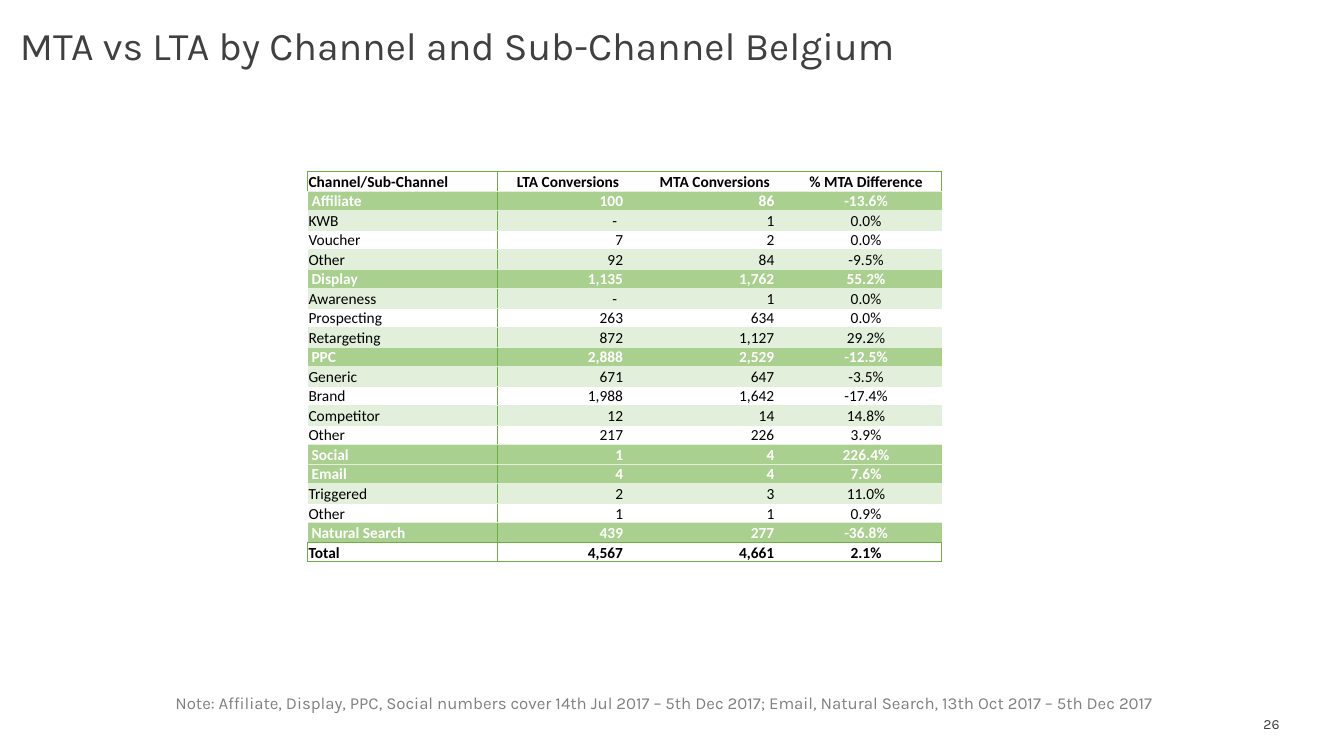
from lxml.etree import SubElement
from pptx import Presentation
from pptx.dml.color import RGBColor
from pptx.enum.text import MSO_ANCHOR, PP_ALIGN
from pptx.oxml.ns import qn
from pptx.util import Inches, Pt

DARK_GREY = RGBColor(0x40, 0x40, 0x40)
MID_GREY = RGBColor(0x80, 0x80, 0x80)
BLACK = RGBColor(0, 0, 0)
WHITE = RGBColor(0xFF, 0xFF, 0xFF)
GREEN = RGBColor(0x70, 0xAD, 0x47)
SOFT_GREEN = RGBColor(0xA9, 0xD0, 0x8E)
PALE_GREEN = RGBColor(0xE2, 0xEF, 0xDA)

HEADINGS = ("Channel/Sub-Channel", "LTA Conversions", "MTA Conversions", "% MTA Difference")
TOTAL = ("Total", "4,567", "4,661", "2.1%")
# Each channel total is followed by its sub-channels
CHANNELS = [
    [("Affiliate", "100", "86", "-13.6%"),
     ("KWB", "-", "1", "0.0%"),
     ("Voucher", "7", "2", "0.0%"),
     ("Other", "92", "84", "-9.5%")],
    [("Display", "1,135", "1,762", "55.2%"),
     ("Awareness", "-", "1", "0.0%"),
     ("Prospecting", "263", "634", "0.0%"),
     ("Retargeting", "872", "1,127", "29.2%")],
    [("PPC", "2,888", "2,529", "-12.5%"),
     ("Generic", "671", "647", "-3.5%"),
     ("Brand", "1,988", "1,642", "-17.4%"),
     ("Competitor", "12", "14", "14.8%"),
     ("Other", "217", "226", "3.9%")],
    [("Social", "1", "4", "226.4%")],
    [("Email", "4", "4", "7.6%"),
     ("Triggered", "2", "3", "11.0%"),
     ("Other", "1", "1", "0.9%")],
    [("Natural Search", "439", "277", "-36.8%")],
]
COLUMN_WIDTHS = (1.88, 1.41, 1.5, 1.5)
ROW_HEIGHT = 0.19


def style_text(paragraph, font_name, size, color, bold=False):
    font = paragraph.font
    font.name, font.size, font.bold = font_name, Pt(size), bold
    font.color.rgb = color


def add_text(page, text, left, top, width, height, size, color,
             align=PP_ALIGN.LEFT, anchor=MSO_ANCHOR.TOP, wrap=True):
    box = page.shapes.add_textbox(Inches(left), Inches(top), Inches(width), Inches(height))
    frame = box.text_frame
    frame.word_wrap = wrap
    frame.vertical_anchor = anchor
    paragraph = frame.paragraphs[0]
    paragraph.text = text
    paragraph.alignment = align
    style_text(paragraph, "Karla", size, color)
    return box


def set_borders(cell, borders):
    """Borders are (colour, points) or None, ordered left, right, top, bottom."""
    properties = cell._tc.get_or_add_tcPr()
    for position, (side, border) in enumerate(zip("LRTB", borders)):
        line = SubElement(properties, qn(f"a:ln{side}"))
        properties.insert(position, line)
        if border is None:
            SubElement(line, qn("a:noFill"))
            continue
        color, points = border
        line.set("w", str(Pt(points)))
        fill = SubElement(line, qn("a:solidFill"))
        SubElement(fill, qn("a:srgbClr")).set("val", str(color))


def cell_borders(row, column, last_row):
    strong, divider, thin = (GREEN, 1), (GREEN, 0.5), (PALE_GREEN, 0.5)
    framed = row in (0, last_row)
    left = divider if column == 1 else strong if framed and column == 0 else None
    right = divider if column == 0 else strong if framed and column == 3 else None
    top = strong if framed else thin
    bottom = strong if row >= last_row - 1 else thin
    return left, right, top, bottom


def fill_cell(cell, text, column, kind, fill):
    if fill is None:
        cell.fill.background()
    else:
        cell.fill.solid()
        cell.fill.fore_color.rgb = fill
    cell.vertical_anchor = MSO_ANCHOR.BOTTOM
    cell.margin_left = cell.margin_right = cell.margin_top = Inches(0.01)
    cell.margin_bottom = 0
    paragraph = cell.text_frame.paragraphs[0]
    paragraph.text = text
    style_text(paragraph, "Calibri", 11, WHITE if kind == "channel" else BLACK,
               kind != "sub-channel")
    if column == 0:
        paragraph.alignment = PP_ALIGN.LEFT
        if kind == "channel":
            cell.margin_left = Inches(0.04)
    elif column == 3 or kind == "heading":
        paragraph.alignment = PP_ALIGN.CENTER
    else:
        paragraph.alignment = PP_ALIGN.RIGHT
        cell.margin_right = Inches(0.22 if text == "-" else 0.16)


def table_rows():
    """List every row as its kind, fill and values."""
    rows = [("heading", None, HEADINGS)]
    for channel, *sub_channels in CHANNELS:
        rows.append(("channel", SOFT_GREEN, channel))
        for index, values in enumerate(sub_channels):
            rows.append(("sub-channel", None if index % 2 else PALE_GREEN, values))
    rows.append(("total", None, TOTAL))
    return rows


def add_channel_table(page):
    rows = table_rows()
    frame = page.shapes.add_table(
        len(rows), len(HEADINGS), Inches(3.05), Inches(1.7),
        Inches(sum(COLUMN_WIDTHS)), Inches(ROW_HEIGHT * len(rows)))
    table = frame.table
    table.first_row = table.horz_banding = False
    for column, width in zip(table.columns, COLUMN_WIDTHS):
        column.width = Inches(width)
    for row, (kind, fill, values) in enumerate(rows):
        table.rows[row].height = Inches(ROW_HEIGHT)
        for column, text in enumerate(values):
            cell = table.cell(row, column)
            fill_cell(cell, text, column, kind, fill)
            set_borders(cell, cell_borders(row, column, len(rows) - 1))


def main():
    deck = Presentation()
    deck.slide_width, deck.slide_height = Inches(13.33), Inches(7.5)
    page = deck.slides.add_slide(deck.slide_layouts[6])

    # Title
    title = add_text(page, "MTA vs LTA by Channel and Sub-Channel Belgium",
                     0.1, 0, 8.9, 0.73, 28, DARK_GREY, anchor=MSO_ANCHOR.BOTTOM)
    title.text_frame.paragraphs[0].line_spacing = 0.9

    # Conversions by channel
    add_channel_table(page)

    # Note and page number
    add_text(page, "Note: Affiliate, Display, PPC, Social numbers cover 14th Jul 2017 – 5th Dec 2017; "
             "Email, Natural Search, 13th Oct 2017 – 5th Dec 2017",
             1.64, 6.82, 10.25, 0.3, 12, MID_GREY, wrap=False)
    number = add_text(page, "26", 12.23, 7.05, 0.52, 0.27, 10, DARK_GREY, PP_ALIGN.RIGHT)
    number.text_frame.margin_right = Inches(0.06)

    deck.save("out.pptx")


if __name__ == "__main__":
    main()
